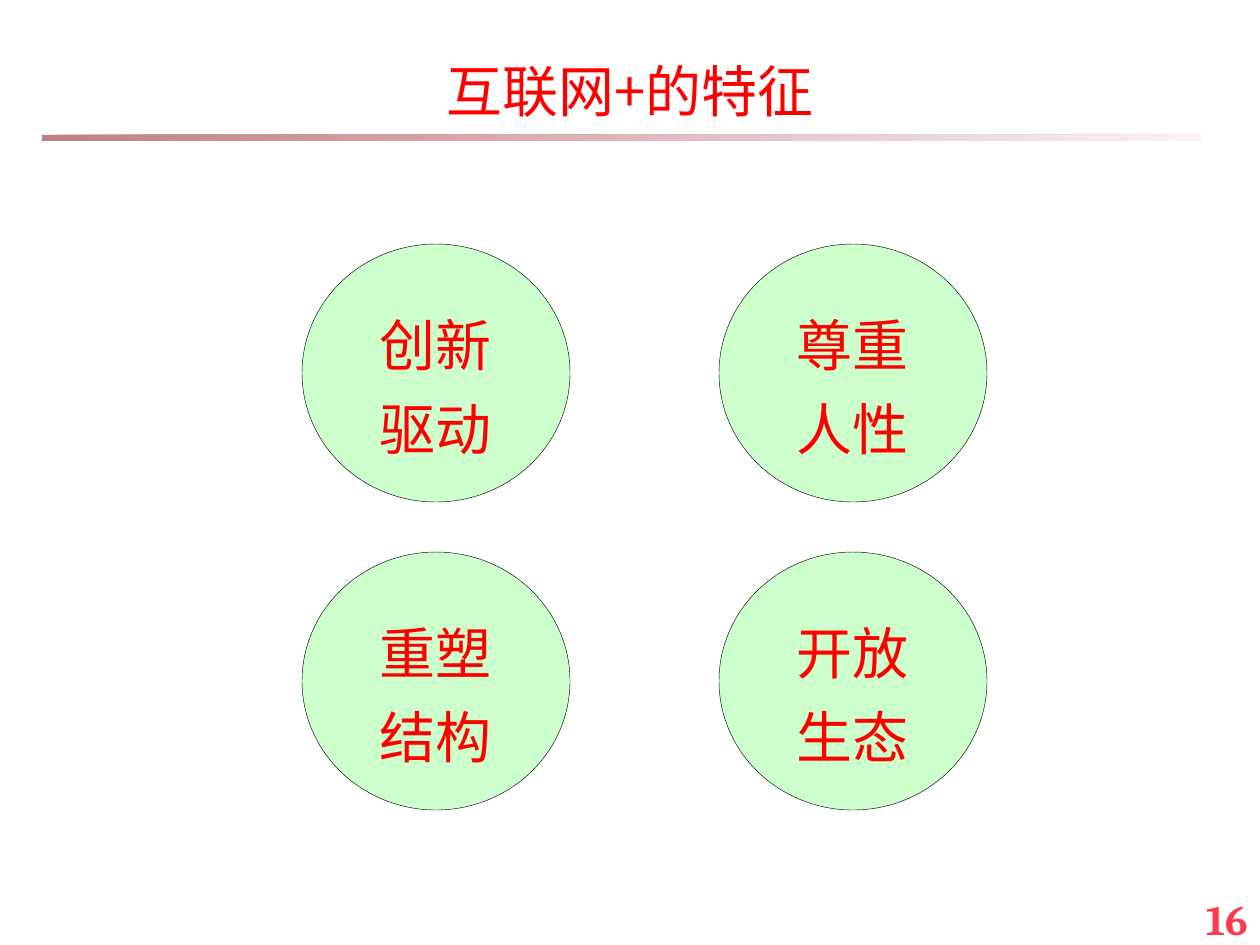
from lxml import etree
from pptx import Presentation
from pptx import util as u
from pptx.dml.color import RGBColor
from pptx.enum import shapes, text
from pptx.oxml.ns import qn

PX = u.Inches(1) / 126
RED = RGBColor(0xFF, 0x00, 0x00)
PAGE_RED = RGBColor(0xFC, 0x3A, 0x4C)
GREEN = RGBColor(0xCC, 0xFF, 0xCC)
BLACK = RGBColor(0x00, 0x00, 0x00)
MAROON = RGBColor(0x80, 0x00, 0x00)
PINK = RGBColor(0xFA, 0xE2, 0xF6)
CJK = "Noto Sans CJK SC"

TITLE = "互联网+的特征"
PAGE = "16"
FEATURES = [
    [("创新", "驱动"), ("尊重", "人性")],
    [("重塑", "结构"), ("开放", "生态")],
]
GRID_LEFT, GRID_TOP = 302, 244
STEP_X, STEP_Y = 417, 308
OVAL_W, OVAL_H = 268, 258


def box(*px):
    return [u.Emu(round(v * PX)) for v in px]


def write(tf, *lines, size=32, font=CJK, color=RED, bold=False,
          align=text.PP_ALIGN.CENTER, spacing=u.Pt(48)):
    for i, line in enumerate(lines):
        p = tf.add_paragraph() if i else tf.paragraphs[0]
        p.alignment = align
        if spacing:
            p.line_spacing = spacing
        r = p.add_run()
        r.text = line
        r.font.size, r.font.name, r.font.bold = u.Pt(size), font, bold
        r.font.color.rgb = color
        ea = etree.SubElement(r.font._element, qn("a:ea"))
        ea.set("typeface", font)


def add_rule(s):
    sp = s.shapes.add_shape(shapes.MSO_SHAPE.RECTANGLE, *box(42, 135, 1159, 6))
    sp.shadow.inherit = False
    sp.line.fill.background()
    sp.fill.gradient()
    sp.fill.gradient_angle = 0
    for stop, color in zip(sp.fill.gradient_stops, (MAROON, PINK)):
        stop.color.rgb = color
    for clr in sp._element.spPr.iter(qn("a:srgbClr")):
        etree.SubElement(clr, qn("a:alpha")).set("val", "50000")


def add_feature(s, row, col, lines):
    sp = s.shapes.add_shape(
        shapes.MSO_SHAPE.OVAL,
        *box(GRID_LEFT + col * STEP_X, GRID_TOP + row * STEP_Y, OVAL_W, OVAL_H))
    sp.shadow.inherit = False
    sp.fill.solid()
    sp.fill.fore_color.rgb = GREEN
    sp.line.color.rgb = BLACK
    sp.line.width = u.Pt(0.25)
    tf = sp.text_frame
    tf.word_wrap = False
    tf.vertical_anchor = text.MSO_ANCHOR.MIDDLE
    tf.margin_top, tf.margin_bottom = box(10, 0)
    write(tf, *lines)


def main():
    prs = Presentation()
    prs.slide_width, prs.slide_height = u.Inches(10), u.Inches(7.5)
    s = prs.slides.add_slide(prs.slide_layouts[6])

    add_rule(s)

    page = s.shapes.add_textbox(*box(966, 887, 294, 55)).text_frame
    page.word_wrap = True
    write(page, PAGE, size=24, font="Cambria", color=PAGE_RED, bold=True,
          align=text.PP_ALIGN.RIGHT, spacing=None)

    title = s.shapes.add_textbox(*box(0, 10, 1260, 129)).text_frame
    title.word_wrap = True
    title.vertical_anchor = text.MSO_ANCHOR.BOTTOM
    title.margin_bottom, = box(15)
    write(title, TITLE)

    for row, features in enumerate(FEATURES):
        for col, lines in enumerate(features):
            add_feature(s, row, col, lines)

    prs.save("out.pptx")


if __name__ == "__main__":
    main()
